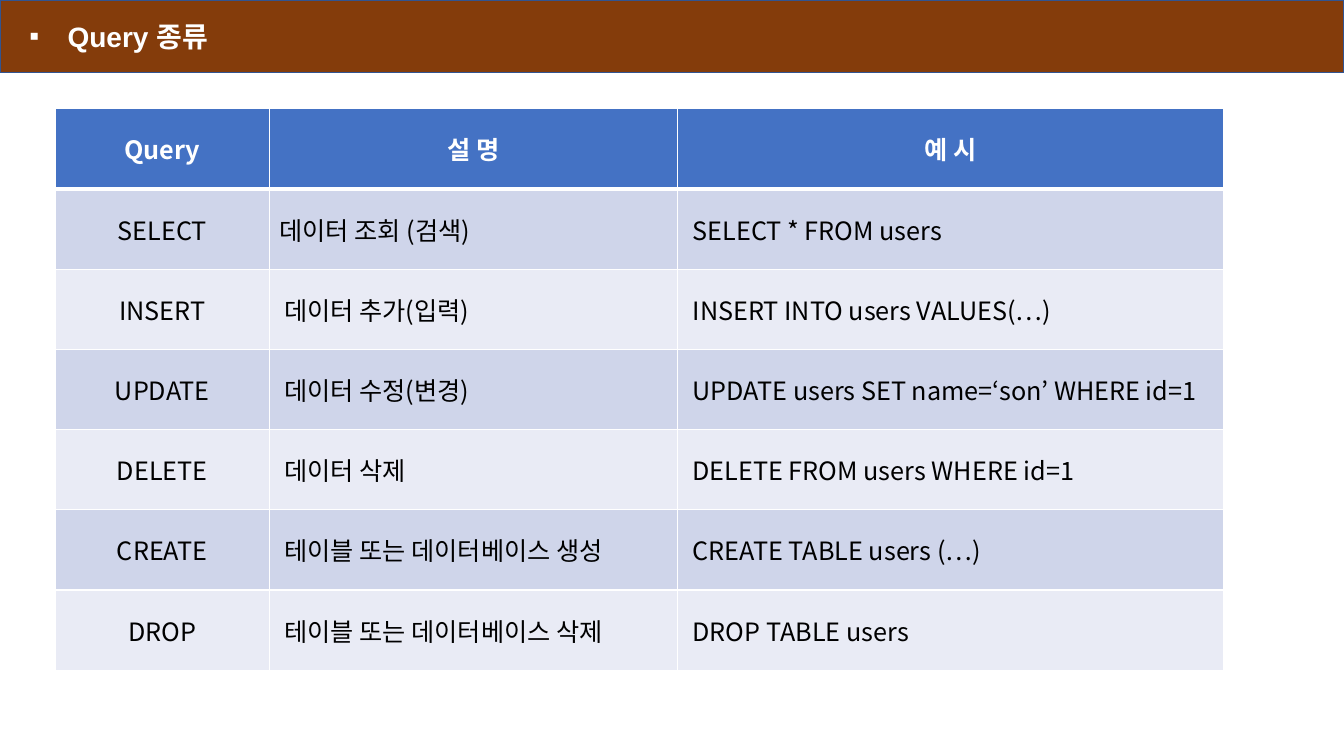
from lxml import etree
from pptx import Presentation
from pptx.dml.color import RGBColor
from pptx.enum.text import MSO_ANCHOR, MSO_AUTO_SIZE, PP_ALIGN
from pptx.oxml.ns import qn
from pptx.util import Inches, Pt

MIDDLE = MSO_ANCHOR.MIDDLE
LEFT, CENTER = PP_ALIGN.LEFT, PP_ALIGN.CENTER
NO_AUTOFIT = MSO_AUTO_SIZE.NONE

COLORS = {
    "banner": "843C0B",
    "banner_edge": "325491",
    "header": "4472C4",
    "odd_row": "CFD5EA",
    "even_row": "E9EBF5",
    "white": "FFFFFF",
    "black": "000000",
}
TITLE_FONT = "Arial"
TABLE_FONT = "Noto Sans CJK KR"
HEADINGS = ("Query", "설 명", "예 시")
QUERIES = (
    ("SELECT", "데이터 조회 (검색)", "SELECT * FROM users"),
    ("INSERT", "데이터 추가(입력)", "INSERT INTO users VALUES(…)"),
    ("UPDATE", "데이터 수정(변경)", "UPDATE users SET name=‘son’ WHERE id=1"),
    ("DELETE", "데이터 삭제", "DELETE FROM users WHERE id=1"),
    ("CREATE", "테이블 또는 데이터베이스 생성", "CREATE TABLE users (…)"),
    ("DROP", "테이블 또는 데이터베이스 삭제", "DROP TABLE users"),
)
COLUMN_WIDTHS = (2.12, 4.05, 5.42)
TABLE_HEIGHT = 5.57


class QuerySlide:
    """Draws the banner and the query table in one shared style."""

    def __init__(self, deck):
        self.slide = deck.slides.add_slide(deck.slide_layouts[5])

    def color(self, name):
        return RGBColor.from_string(COLORS[name])

    def fill(self, target, name):
        target.fill.solid()
        target.fill.fore_color.rgb = self.color(name)

    def add_text(self, paragraph, text, font_name, size, color, bold):
        run = paragraph.add_run()
        run.text = text
        run.font.name = font_name
        run.font.size = Pt(size)
        run.font.bold = bold
        run.font.color.rgb = self.color(color)
        east_asian = etree.Element(qn("a:ea"), typeface=TABLE_FONT)
        run._r.rPr.find(qn("a:latin")).addnext(east_asian)

    def banner(self, text, width, height):
        title = self.slide.shapes.title
        title.left, title.top = Inches(0), Inches(0)
        title.width, title.height = Inches(width), Inches(height)
        self.fill(title, "banner")
        title.line.color.rgb = self.color("banner_edge")
        title.line.width = Pt(1)
        frame = title.text_frame
        frame.word_wrap = True
        frame.auto_size = NO_AUTOFIT
        frame.vertical_anchor = MIDDLE
        paragraph = frame.paragraphs[0]
        paragraph.alignment = LEFT
        paragraph.line_spacing = 1.0
        properties = paragraph._p.get_or_add_pPr()
        properties.set("marL", str(Inches(0.57)))
        properties.set("indent", str(Inches(-0.38)))
        etree.SubElement(properties, qn("a:buFont"), typeface="Arial")
        etree.SubElement(properties, qn("a:buChar"), char="▪")
        self.add_text(paragraph, text, TITLE_FONT, 20, "white", True)

    def borders(self, cell, bottom_width):
        properties = cell._tc.get_or_add_tcPr()
        for side, width in (("L", 1), ("R", 1), ("T", 1), ("B", bottom_width)):
            line = etree.SubElement(properties, qn(f"a:ln{side}"), w=str(Pt(width)))
            solid = etree.SubElement(line, qn("a:solidFill"))
            etree.SubElement(solid, qn("a:srgbClr"), val=COLORS["white"])

    def cell(self, cell, text, fill, alignment, margin, is_header):
        self.borders(cell, 3 if is_header else 1)
        self.fill(cell, fill)
        cell.vertical_anchor = MIDDLE
        cell.margin_left = Inches(margin)
        paragraph = cell.text_frame.paragraphs[0]
        paragraph.alignment = alignment
        text_color = "white" if is_header else "black"
        self.add_text(paragraph, text, TABLE_FONT, 18, text_color, is_header)

    def query_table(self, left, top):
        rows = (HEADINGS, *QUERIES)
        table = self.slide.shapes.add_table(
            len(rows), len(HEADINGS), Inches(left), Inches(top),
            Inches(sum(COLUMN_WIDTHS)), Inches(TABLE_HEIGHT),
        ).table
        for column, width in zip(table.columns, COLUMN_WIDTHS):
            column.width = Inches(width)
        for row_index, texts in enumerate(rows):
            is_header = row_index == 0
            band = "odd_row" if row_index % 2 else "even_row"
            for column_index, text in enumerate(texts):
                centered = is_header or column_index == 0
                flush = centered or (row_index, column_index) == (1, 1)
                self.cell(
                    table.cell(row_index, column_index), text,
                    "header" if is_header else band,
                    CENTER if centered else LEFT,
                    0.1 if flush else 0.15, is_header,
                )


def main():
    deck = Presentation()
    deck.slide_width, deck.slide_height = Inches(13.33), Inches(7.5)
    page = QuerySlide(deck)
    page.banner("Query 종류", 13.33, 0.72)
    page.query_table(0.55, 1.08)
    deck.save("out.pptx")


if __name__ == "__main__":
    main()
